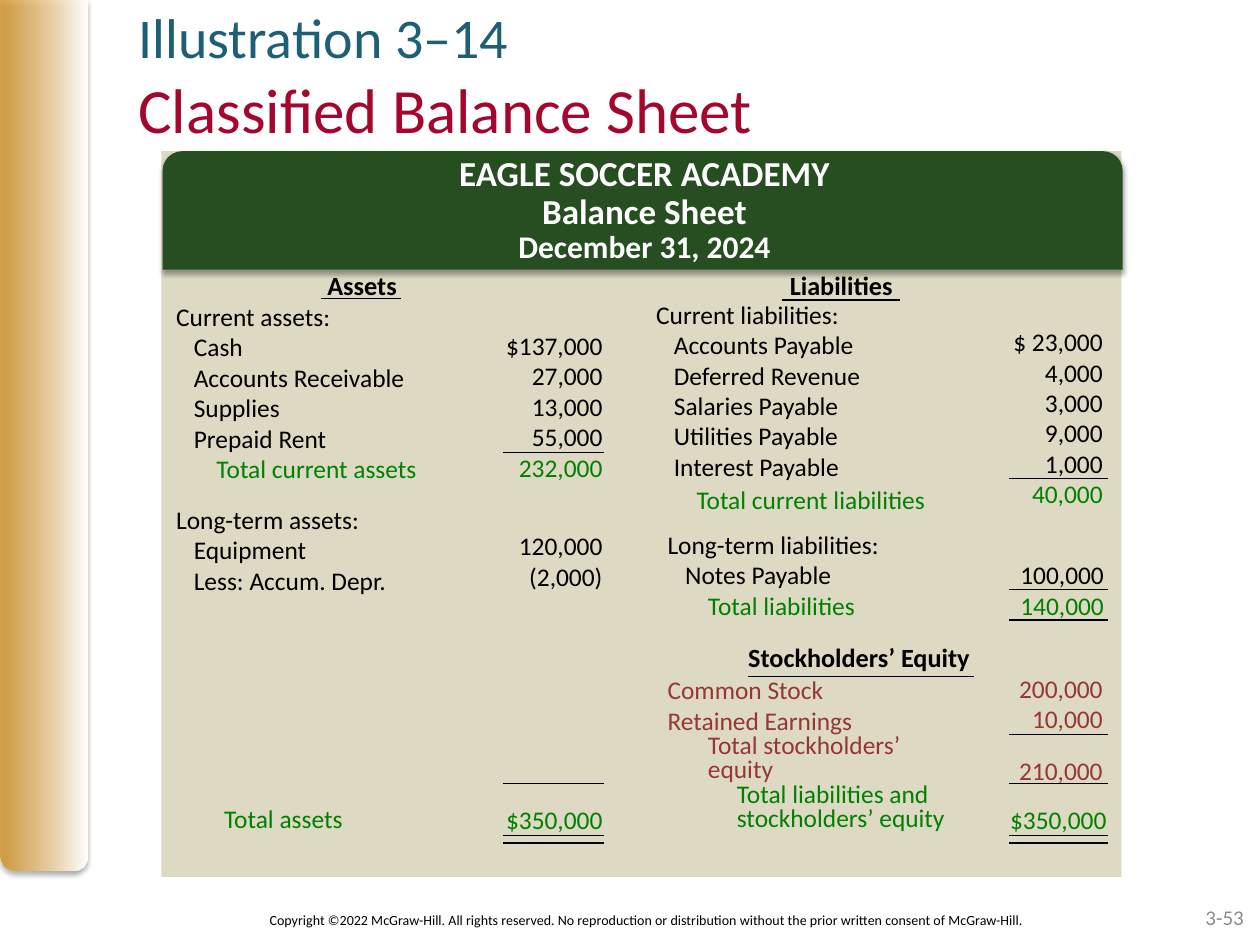
from lxml import etree
from pptx import Presentation
from pptx.dml.color import RGBColor
from pptx.enum.shapes import MSO_CONNECTOR as CONN, MSO_SHAPE as SHAPE
from pptx.enum.text import MSO_ANCHOR as ANCHOR, PP_ALIGN as ALIGN
from pptx.oxml.ns import qn
from pptx.util import Inches, Pt

BLACK, WHITE, GREEN, BROWN = "000000", "FFFFFF", "008000", "953735"
BODY = 14.5
INDENTS = (0, 0.14, 0.32, 0.55)


def rgb(value):
    return RGBColor.from_string(value)


def add_shadow(sp):
    effects = etree.SubElement(sp._element.spPr, qn("a:effectLst"))
    outer = etree.SubElement(effects, qn("a:outerShdw"), blurRad=str(Pt(3.1)),
                             dist=str(Pt(1.8)), dir="5400000", rotWithShape="0")
    color = etree.SubElement(outer, qn("a:srgbClr"), val=BLACK)
    etree.SubElement(color, qn("a:alpha"), val="35000")


def add_block(slide, kind, x, y, w, h, fill=None, shadow=False):
    sp = slide.shapes.add_shape(kind, Inches(x), Inches(y), Inches(w), Inches(h))
    sp.line.fill.background()
    if fill:
        sp.fill.solid()
        sp.fill.fore_color.rgb = rgb(fill)
    if shadow:
        add_shadow(sp)
    else:
        sp.shadow.inherit = False
    return sp


def add_text(slide, x, y, w, h, rows, align=ALIGN.LEFT, anchor=ANCHOR.TOP):
    sp = slide.shapes.add_textbox(Inches(x), Inches(y), Inches(w), Inches(h))
    tf = sp.text_frame
    tf.word_wrap = True
    tf.vertical_anchor = anchor
    for i, row in enumerate(rows):
        p = tf.add_paragraph() if i else tf.paragraphs[0]
        p.alignment = align
        p.line_spacing = row.get("spacing")
        if row.get("before"):
            p.space_before = Pt(row["before"])
        if row.get("level"):
            indent = Inches(INDENTS[row["level"]])
            p._p.get_or_add_pPr().set("marL", str(indent))
        for j, line in enumerate(row["text"].split("\n")):
            if j:
                p.add_line_break()
            r = p.add_run()
            r.text = line
            r.font.name = "Calibri"
            r.font.size = Pt(row.get("size", BODY))
            r.font.bold = row.get("bold", False)
            r.font.color.rgb = rgb(row.get("color", BLACK))


def row(text, level=0, color=BLACK, **options):
    return dict(text=text, level=level, color=color, **options)


def add_amounts(slide, right, y, rows):
    add_text(slide, right - 1.01, y, 1.01, 0.25 * len(rows) + 0.1, rows, ALIGN.RIGHT)


def add_heading(slide, x, y, text):
    add_text(slide, x, y, 2.16, 0.35, [row(text, size=15, bold=True)])


def add_rule(slide, x, y, w):
    cxn = slide.shapes.add_connector(CONN.STRAIGHT, Inches(x), Inches(y),
                                     Inches(x + w), Inches(y))
    cxn.line.color.rgb = rgb(BLACK)
    cxn.line.width = Pt(0.75)
    etree.SubElement(cxn._element.spPr, qn("a:effectLst"))


def add_title(slide, x, y, w, h):
    tf = slide.shapes.add_textbox(Inches(x), Inches(y), Inches(w), Inches(h)).text_frame
    tf.word_wrap = True
    tf.vertical_anchor = ANCHOR.MIDDLE
    lines = [("Illustration 3–14", 32, "1D5F76"),
             ("Classified Balance Sheet", 36, "A5062D")]
    for i, (text, size, color) in enumerate(lines):
        p = tf.add_paragraph() if i else tf.paragraphs[0]
        r = p.add_run()
        r.text = text
        r.font.name = "Calibri"
        r.font.size = Pt(size)
        r.font.color.rgb = rgb(color)


def add_banner(slide, x, y, w, h):
    add_block(slide, SHAPE.ROUND_2_SAME_RECTANGLE, x, y, w, h, "264E21", True)
    lines = [("EAGLE SOCCER ACADEMY", 20), ("Balance Sheet", 20),
             ("December 31, 2024", 18)]
    add_text(slide, x + 1.35, y - 0.01, 4.95, 0.98,
             [row(text, color=WHITE, size=size, bold=True, spacing=0.9)
              for text, size in lines], ALIGN.CENTER)


def add_assets(slide, x, y, w, h):
    right = x + w
    add_heading(slide, x + 1.22, y - 0.05, "Assets")
    add_text(slide, x + 0.02, y + 0.2, 2.36, 1.57, [
        row("Current assets:"), row("Cash", 1), row("Accounts Receivable", 1),
        row("Supplies", 1), row("Prepaid Rent", 1),
        row("Total current assets", 2, GREEN)])
    add_amounts(slide, right, y + 0.43, [
        row("$137,000"), row("27,000"), row("13,000"), row("55,000"),
        row("232,000", color=GREEN)])
    add_text(slide, x + 0.02, y + 1.81, 2.36, 0.83, [
        row("Long-term assets:"), row("Equipment", 1), row("Less: Accum. Depr.", 1)])
    add_amounts(slide, right, y + 2.02, [row("120,000"), row("(2,000)")])
    add_text(slide, x + 0.4, y + h - 0.59, 1.25, 0.3,
             [row("Total assets", color=GREEN, spacing=0.8)])
    add_amounts(slide, right, y + h - 0.63, [row("$350,000", color=GREEN)])
    add_rule(slide, x + 1.27, y + 0.23, 0.63)
    for dy in (1.45, h - 0.74, h - 0.33, h - 0.27):
        add_rule(slide, right - 0.89, y + dy, 0.8)


def add_liabilities(slide, x, y, w, h):
    right = x + w
    add_heading(slide, x + 1.07, y - 0.05, "Liabilities")
    add_text(slide, x + 0.01, y + 0.23, 2.36, 1.78, [
        row("Current liabilities:", spacing=0.8), row("Accounts Payable", 1),
        row("Deferred Revenue", 1), row("Salaries Payable", 1),
        row("Utilities Payable", 1), row("Interest Payable", 1),
        row("Total current liabilities", 2, GREEN, spacing=1.1)])
    add_amounts(slide, right, y + 0.4, [
        row("$ 23,000"), row("4,000"), row("3,000"), row("9,000"), row("1,000"),
        row("40,000", color=GREEN)])
    add_text(slide, x + 0.1, y + 2.01, 2.36, 0.83, [
        row("Long-term liabilities:"), row("Notes Payable", 1),
        row("Total liabilities", 2, GREEN)])
    add_amounts(slide, right + 0.01, y + 2.25,
                [row("100,000"), row("140,000", color=GREEN)])
    add_rule(slide, x + 1.11, y + 0.24, 0.93)
    for dy in (1.66, 2.54, 2.78):
        add_rule(slide, right - 0.84, y + dy, 0.78)


def add_equity(slide, x, y, w, h):
    right = x + w
    add_heading(slide, x + 0.74, y + 0.04, "Stockholders’ Equity")
    add_text(slide, x + 0.1, y + 0.35, 2.57, 1.33, [
        row("Common Stock", color=BROWN, spacing=0.8),
        row("Retained Earnings", color=BROWN),
        row("Total stockholders’\nequity", 2, BROWN, spacing=0.8),
        row("Total liabilities and\nstockholders’ equity", 3, GREEN, spacing=0.8)])
    add_amounts(slide, right, y + 0.29, [
        row("200,000", color=BROWN), row("10,000", color=BROWN),
        row("210,000", color=BROWN, before=12)])
    add_amounts(slide, right + 0.03, y + 1.33, [row("$350,000", color=GREEN)])
    add_rule(slide, x + 0.84, y + 0.37, 1.79)
    for dy in (0.83, 1.22, 1.63, 1.69):
        add_rule(slide, right - 0.84, y + dy, 0.78)


def add_side_bar(slide, x, y, w, h):
    sp = add_block(slide, SHAPE.ROUND_2_SAME_RECTANGLE, x, y, w, h)
    sp.adjustments[0], sp.adjustments[1] = 0, 0.17
    sp.fill.gradient()
    sp.fill.gradient_angle = 0
    for stop, color, position in zip(sp.fill.gradient_stops, ("D49323", WHITE), (0, 1)):
        stop.color.rgb = rgb(color)
        stop.position = position
    first = sp._element.spPr.find(".//" + qn("a:srgbClr"))
    etree.SubElement(first, qn("a:alpha"), val="80000")
    sp._element.spPr.remove(sp._element.spPr.find(qn("a:effectLst")))
    add_shadow(sp)


def add_footer(slide, x, y, w, h):
    notice = ("Copyright ©2022 McGraw-Hill. All rights reserved. No reproduction or "
              "distribution without the prior written consent of McGraw-Hill.")
    add_text(slide, x, y, 7.15, h, [row(notice, size=8)], ALIGN.CENTER, ANCHOR.MIDDLE)
    add_text(slide, x + w - 2.33, y - 0.02, 2.33, h,
             [row("3-53", color="8C8C8C", size=12)], ALIGN.RIGHT, ANCHOR.MIDDLE)


def main():
    prs = Presentation()
    prs.slide_width, prs.slide_height = Inches(10), Inches(7.5)
    slide = prs.slides.add_slide(prs.slide_layouts[6])
    add_block(slide, SHAPE.RECTANGLE, 1.28, 1.2, 7.62, 5.76, "DDD9C3")
    add_banner(slide, 1.29, 1.2, 7.62, 0.94)
    add_title(slide, 1, -0.04, 9, 1.26)
    add_assets(slide, 1.28, 2.14, 3.6, 4.82)
    add_liabilities(slide, 5.1, 2.14, 3.75, 2.86)
    add_equity(slide, 5.1, 5, 3.75, 1.96)
    add_footer(slide, 1.56, 7.1, 8.41, 0.4)
    add_side_bar(slide, 0, 0, 0.69, 6.91)
    prs.save("out.pptx")


if __name__ == "__main__":
    main()
